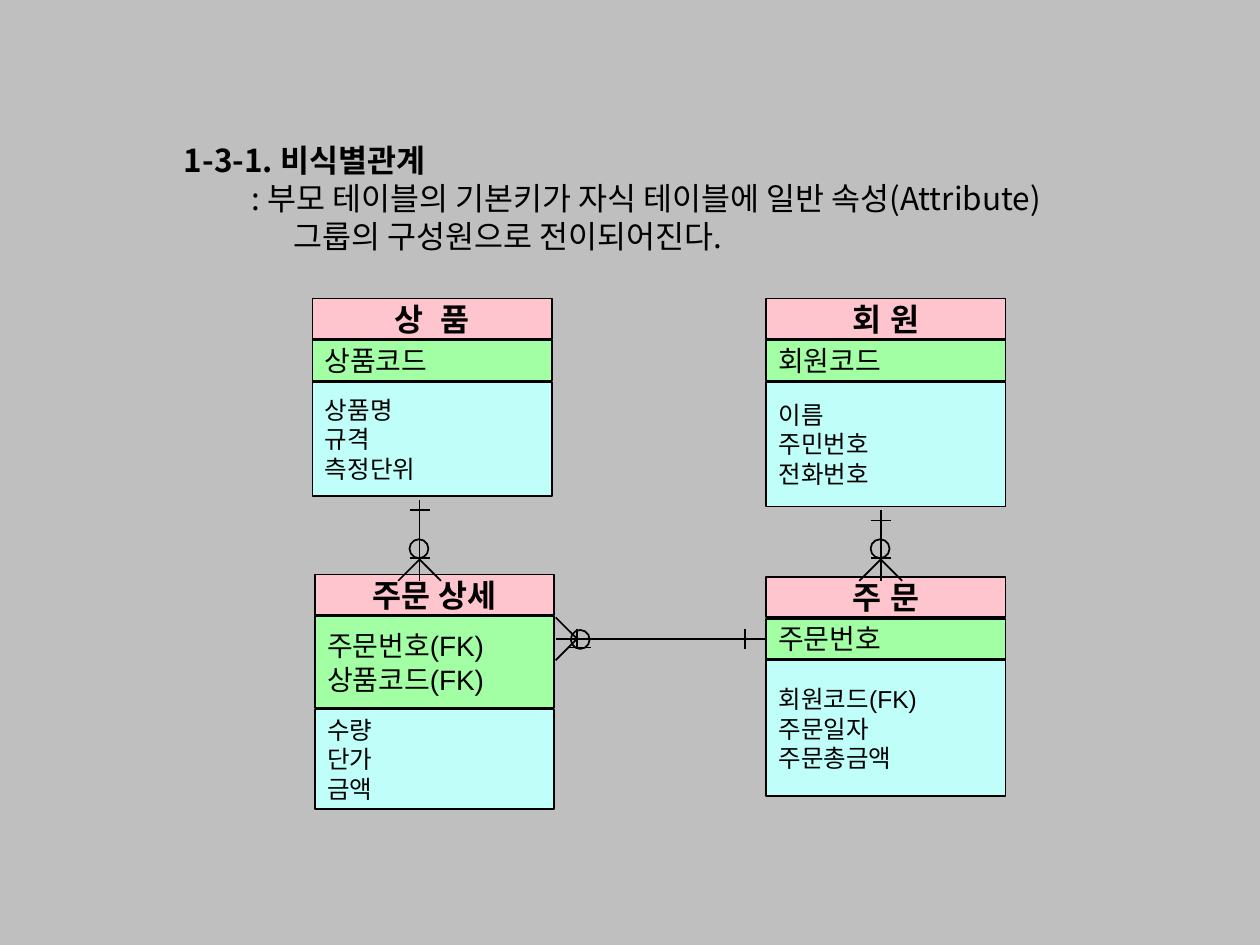
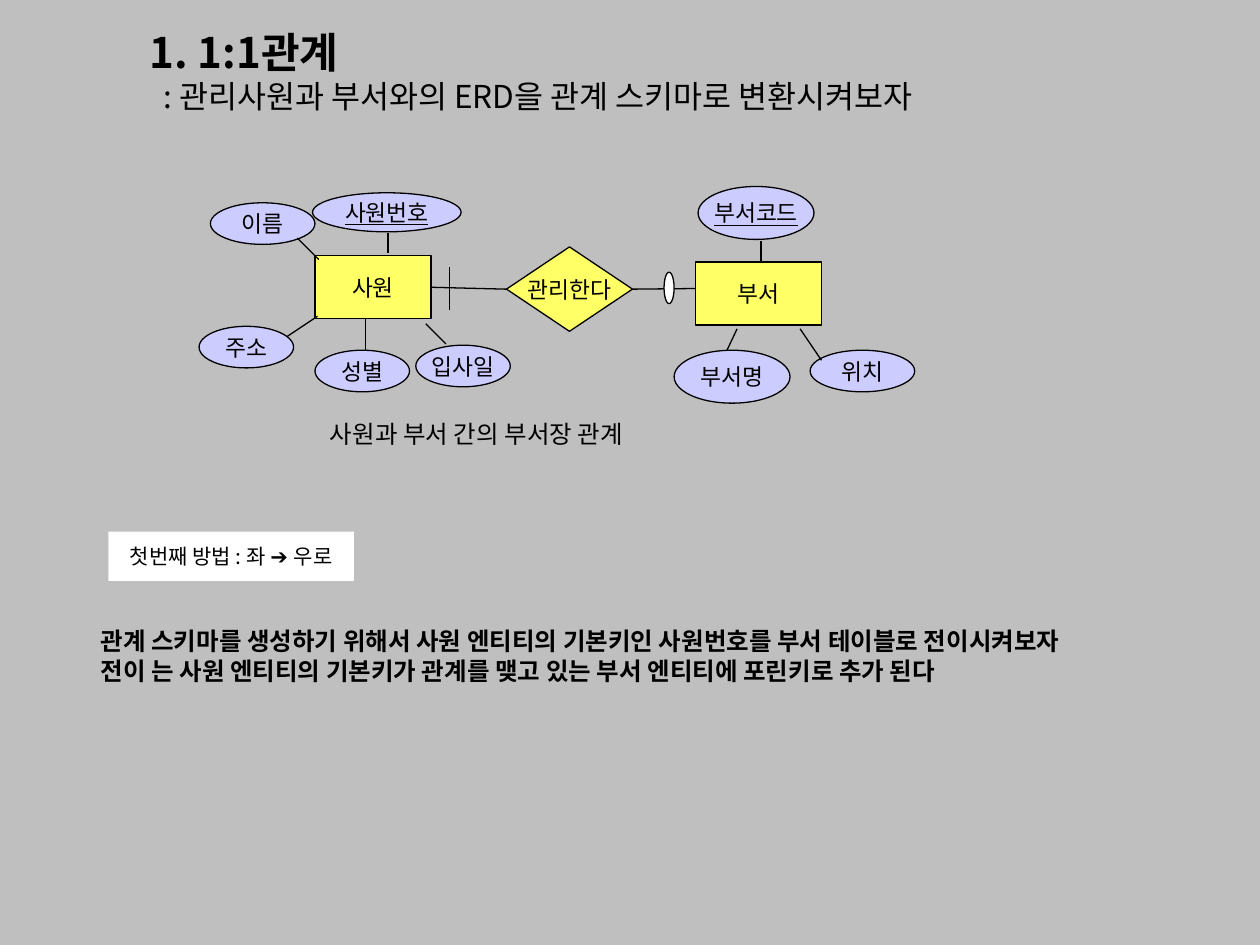
from lxml import etree
from pptx import Presentation
from pptx.dml.color import RGBColor
from pptx.enum import shapes, text
from pptx.oxml.ns import qn
from pptx.util import Inches, Pt

GRAY = RGBColor(0xBF, 0xBF, 0xBF)
BLACK = RGBColor(0, 0, 0)
WHITE = RGBColor(255, 255, 255)
PINK = RGBColor(0xFF, 0xC5, 0xCF)
GREEN = RGBColor(0xA2, 0xFF, 0xA3)
CYAN = RGBColor(0xC0, 0xFE, 0xF9)
YELLOW = RGBColor(0xFF, 0xFF, 0x66)
LILAC = RGBColor(0xCC, 0xCC, 0xFF)
NOTO, ARIAL = "Noto Sans CJK KR", "Arial"
LEFT, MID = text.PP_ALIGN.LEFT, text.PP_ALIGN.CENTER
RECT, OVAL, GEM = (shapes.MSO_SHAPE.RECTANGLE, shapes.MSO_SHAPE.OVAL,
                   shapes.MSO_SHAPE.DIAMOND)


def write(shape, lines, size=14, font=NOTO, bold=False, under=False,
          align=LEFT, anchor=text.MSO_ANCHOR.TOP, indents=()):
    frame = shape.text_frame
    frame.auto_size = text.MSO_AUTO_SIZE.NONE
    frame.word_wrap = align == LEFT
    frame.vertical_anchor = anchor
    frame.margin_left = frame.margin_right = Inches(0.1)
    frame.margin_top = frame.margin_bottom = Inches(0.05)
    for i, line in enumerate(lines):
        para = frame.paragraphs[0] if i == 0 else frame.add_paragraph()
        para.alignment = align
        para.line_spacing = Pt(size * 1.2)
        para.space_before = para.space_after = Pt(0)
        if i < len(indents):
            para._p.get_or_add_pPr().set("marL", str(Inches(indents[i])))
        parts = [(line, font)] if isinstance(line, str) else line
        for words, face in parts:
            run = para.add_run()
            run.text = words
            style = run.font
            style.size, style.bold, style.name = Pt(size), bold, face
            style.underline = under
            style.color.rgb = BLACK
            etree.SubElement(run._r.rPr, qn("a:ea")).set("typeface", face)


def place(shape, x, y, w, h):
    shape.left, shape.top = Inches(x), Inches(y)
    shape.width, shape.height = Inches(w), Inches(h)


def title(slide, words, box, size):
    head = slide.shapes.title
    place(head, *box)
    write(head, [words], size=size, bold=True)


def label(slide, lines, box, **kind):
    note = slide.shapes.add_textbox(*map(Inches, box))
    write(note, lines, **kind)


def block(slide, form, box, fill=None, line=1, lines=(), **kind):
    shape = slide.shapes.add_shape(form, *map(Inches, box))
    shape.shadow.inherit = False
    if fill is None:
        shape.fill.background()
    else:
        shape.fill.solid()
        shape.fill.fore_color.rgb = fill
    if line:
        shape.line.color.rgb = BLACK
        shape.line.width = Pt(line)
    else:
        shape.line.fill.background()
    if lines:
        write(shape, lines, anchor=text.MSO_ANCHOR.MIDDLE, **kind)
    return shape


def stroke(slide, start, end, width=1):
    line = slide.shapes.add_connector(
        shapes.MSO_CONNECTOR.STRAIGHT, *map(Inches, (*start, *end)))
    line.line.color.rgb = BLACK
    line.line.width = Pt(width)
    etree.SubElement(line._element.spPr, qn("a:effectLst"))
    return line


def entity(slide, x, y, name, keys, attrs, key_h, attr_h):
    width, head, gap = 1.9, 0.32, 0.01
    block(slide, RECT, (x, y, width, head), PINK, lines=[name],
          size=18, font=ARIAL, bold=True, align=MID)
    y += head + gap
    key = block(slide, RECT, (x, y, width, key_h), GREEN, lines=keys,
                size=16, font=ARIAL)
    y += key_h + gap
    block(slide, RECT, (x, y, width, attr_h), CYAN, lines=attrs, font=ARIAL)
    return key


def link(slide, x, y, length, across=False, ring=0.26, one=0.08, bar=0.18):
    half, apex = 0.08, 0.17

    def at(along, side):
        return (x + along, y + side) if across else (x + side, y - along)

    axis = stroke(slide, at(0, 0), at(length, 0))
    for spot in (length - one, bar):
        stroke(slide, at(spot, -half), at(spot, half))
    for side in (-apex, apex):
        stroke(slide, at(apex, 0), at(0, side))
    cx, cy = at(ring, 0)
    block(slide, OVAL, (cx - 0.08, cy - 0.07, 0.15, 0.15))
    return axis


def tables(deck):
    slide = deck.slides.add_slide(deck.slide_layouts[5])
    title(slide, "1-3-1. 비식별관계", (1.36, 1.07, 8, 0.4), 18)
    label(slide, [": 부모 테이블의 기본키가 자식 테이블에 일반 속성(Attribute)",
                  "그룹의 구성원으로 전이되어진다."],
          (1.9, 1.37, 7.6, 0.7), size=18, indents=(0, 0.33))
    entity(slide, 2.48, 2.37, "상  품", ["상품코드"],
           ["상품명", "규격", "측정단위"], 0.32, 0.91)
    entity(slide, 6.08, 2.37, "회 원", ["회원코드"],
           ["이름", "주민번호", "전화번호"], 0.32, 0.99)
    entity(slide, 2.5, 4.56, "주문 상세", ["주문번호(FK)", "상품코드(FK)"],
           ["수량", "단가", "금액"], 0.73, 0.79)
    order = entity(slide, 6.08, 4.58, "주 문", ["주문번호"],
                   ["회원코드(FK)", "주문일자", "주문총금액"], 0.32, 1.08)
    link(slide, 3.33, 4.61, 0.64)
    link(slide, 6.99, 4.61, 0.56)
    axis = link(slide, 4.41, 5.07, 1.67, across=True, ring=0.2, one=0.17, bar=0.17)
    axis.end_connect(order, 1)
    stroke(slide, (4.52, 5.14), (4.69, 5.14))


def diagram(slide, x, y):
    def part(form, box, word, fill, under=False):
        left, top, w, h = box
        return block(slide, form, (x + left, y + top, w, h), fill, 0.75,
                     [word], size=13, align=MID, under=under)

    def wire(x1, y1, x2, y2):
        return stroke(slide, (x + x1, y + y1), (x + x2, y + y2), 0.75)

    staff = part(RECT, (0.92, 0.55, 0.92, 0.5), "사원", YELLOW)
    part(RECT, (3.94, 0.6, 1, 0.5), "부서", YELLOW)
    manage = part(GEM, (2.44, 0.48, 1, 0.67), "관리한다", YELLOW)
    for word, box, under in (
            ("이름", (0.09, 0.13, 0.83, 0.33), False),
            ("사원번호", (0.9, 0.05, 1.18, 0.31), True),
            ("주소", (0, 1.11, 0.75, 0.33), False),
            ("성별", (0.92, 1.3, 0.75, 0.33), False),
            ("입사일", (1.72, 1.26, 0.75, 0.33), False),
            ("부서코드", (3.96, 0, 0.92, 0.42), True),
            ("부서명", (3.77, 1.3, 0.92, 0.42), False),
            ("위치", (4.85, 1.3, 0.83, 0.33), False)):
        part(OVAL, box, word, LILAC, under)
    near = wire(1.84, 0.81, 2.42, 0.81)
    near.begin_connect(staff, 3)
    near.end_connect(manage, 1)
    wire(3.44, 0.81, 3.94, 0.81).begin_connect(manage, 3)
    for ends in ((1.99, 0.64, 1.99, 0.98), (4.46, 0.6, 4.46, 0.43),
                 (4.19, 1.3, 4.27, 1.13), (4.94, 1.38, 4.77, 1.13),
                 (1.5, 0.53, 1.5, 0.37), (1.32, 1.05, 1.32, 1.3),
                 (1.8, 1.09, 1.96, 1.25), (0.7, 1.19, 0.94, 1.03),
                 (0.78, 0.41, 0.95, 0.58)):
        wire(*ends)
    block(slide, OVAL, (x + 3.69, y + 0.68, 0.08, 0.25), WHITE, 0.75)


def schema(deck):
    slide = deck.slides.add_slide(deck.slide_layouts[5])
    title(slide, "1. 1:1관계", (1.09, 0.16, 8.4, 0.5), 24)
    label(slide, [": 관리사원과 부서와의 ERD을 관계 스키마로 변환시켜보자"],
          (1.2, 0.56, 8.3, 0.4), size=18)
    diagram(slide, 1.58, 1.48)
    label(slide, ["사원과 부서 간의 부서장 관계"], (2.52, 3.28, 4.05, 0.34))
    block(slide, RECT, (0.86, 4.22, 1.95, 0.39), WHITE, 0,
          [[("첫번째 방법 : 좌 ", NOTO), ("➔ ", ARIAL), ("우로", NOTO)]],
          size=12, align=MID)
    label(slide, ["관계 스키마를 생성하기 위해서 사원 엔티티의 기본키인 사원번호를 "
                  "부서 테이블로 전이시켜보자",
                  "전이 는 사원 엔티티의 기본키가 관계를 맺고 있는 부서 엔티티에 "
                  "포린키로 추가 된다"],
          (0.7, 4.92, 8.75, 0.57), bold=True)


def main():
    deck = Presentation()
    deck.slide_width, deck.slide_height = Inches(10), Inches(7.5)
    back = deck.slide_master.background.fill
    back.solid()
    back.fore_color.rgb = GRAY
    tables(deck)
    schema(deck)
    deck.save("out.pptx")


if __name__ == "__main__":
    main()
